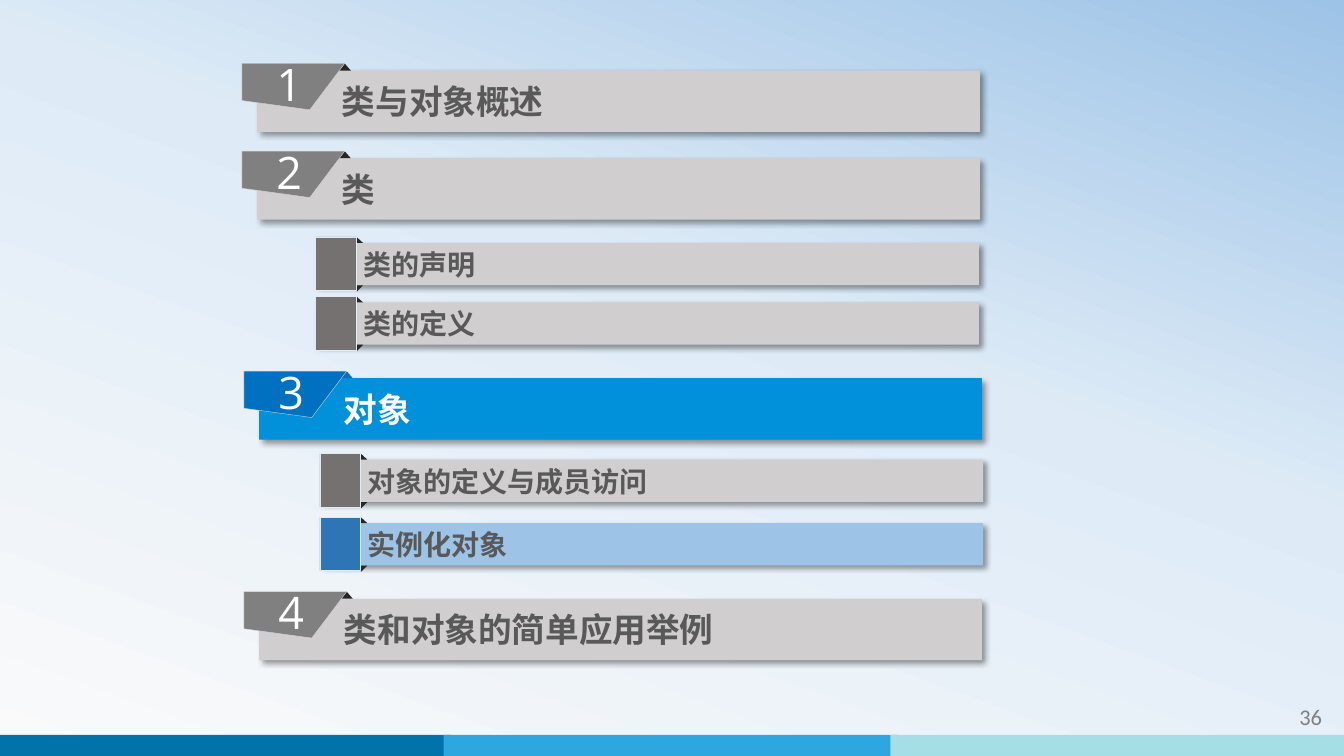
from dataclasses import dataclass

from lxml import etree
from pptx import Presentation
from pptx.dml.color import RGBColor
from pptx.enum.shapes import MSO_SHAPE
from pptx.enum.text import MSO_ANCHOR, PP_ALIGN
from pptx.oxml.ns import qn
from pptx.util import Inches, Pt

RECT, TRIANGLE = MSO_SHAPE.RECTANGLE, MSO_SHAPE.ISOSCELES_TRIANGLE
LEFT, CENTER, RIGHT = PP_ALIGN.LEFT, PP_ALIGN.CENTER, PP_ALIGN.RIGHT
MIDDLE = MSO_ANCHOR.MIDDLE
SLIDE_W, SLIDE_H = Inches(13.33), Inches(7.5)


@dataclass(frozen=True)
class Theme:
    backdrop: tuple = ((0, "FAFAFA"), (58, "DEEBF7"), (100, "9DC3E6"))
    strips: tuple = ("0073AB", "2EA7E0", "A5DEE4")
    bar: str = "D0CECE"
    active_bar: str = "0091DA"
    active_item: str = "9DC3E6"
    tag: str = "808080"
    active_tag: str = "0070C0"
    item_tag: str = "767171"
    active_item_tag: str = "2E75B6"
    fold: str = "262626"
    tag_edge: str = "D9D9D9"
    item_edge: str = "DEEBF7"
    text: str = "595959"
    white: str = "FFFFFF"
    heading_font: str = "Noto Sans CJK SC"
    number_font: str = "Open Sans"
    page_font: str = "Calibri"
    section_size: int = 24
    item_size: int = 20
    number_size: int = 32
    page_size: int = 16


THEME = Theme()

# Tops and lefts are percentages of the slide size.
SECTIONS = (
    ("1", "类与对象概述", 18, 8.4, False),
    ("2", "类", 18, 20, False),
    ("3", "对象", 18.15, 49.1, True),
    ("4", "类和对象的简单应用举例", 18.15, 78.27, False),
)
ITEMS = (
    ("类的声明", 23.48, 31.33, False),
    ("类的定义", 23.48, 39.2, False),
    ("对象的定义与成员访问", 23.8, 60, False),
    ("实例化对象", 23.8, 68.4, True),
)


def share(x, y, w, h):
    return [int(v * size / 100) for v, size in
            ((x, SLIDE_W), (y, SLIDE_H), (w, SLIDE_W), (h, SLIDE_H))]


def paint(sp, color, edge=None):
    sp.shadow.inherit = False
    sp.fill.solid()
    sp.fill.fore_color.rgb = RGBColor.from_string(color)
    if edge:
        sp.line.color.rgb = RGBColor.from_string(edge)
        sp.line.width = Pt(0.25)
    else:
        sp.line.fill.background()
    return sp


def add_box(shapes, kind, box, color, edge=None):
    return paint(shapes.add_shape(kind, *share(*box)), color, edge)


def add_shadow(sp):
    effects = sp._element.spPr.find(qn("a:effectLst"))
    shadow = etree.SubElement(effects, qn("a:outerShdw"), blurRad=str(Pt(4)),
                              dist=str(Pt(3)), dir="2700000", algn="tl", rotWithShape="0")
    color = etree.SubElement(shadow, qn("a:srgbClr"), val="000000")
    etree.SubElement(color, qn("a:alpha"), val="40000")


def write(sp, text, font, size, color, align=LEFT, bold=False, **margins):
    tf = sp.text_frame
    frame = {"word_wrap": True, "vertical_anchor": MIDDLE}
    frame.update({f"margin_{side}": Inches(v) for side, v in margins.items()})
    for name, value in frame.items():
        setattr(tf, name, value)
    p = tf.paragraphs[0]
    p.alignment = align
    r = p.add_run()
    r.text = text
    for name, value in {"name": font, "size": Pt(size), "bold": bold}.items():
        setattr(r.font, name, value)
    r.font.color.rgb = RGBColor.from_string(color)
    etree.SubElement(r._r.get_or_add_rPr(), qn("a:ea"), typeface=font)


def add_bar(shapes, box, color, text, size, text_color, indent):
    sp = add_box(shapes, RECT, box, color)
    add_shadow(sp)
    write(sp, text, THEME.heading_font, size, text_color, bold=True, left=indent)


def add_number_tag(shapes, x, y, number, color):
    left, top, w, h = share(x, y, 7.65, 6.13)
    points = [(left + int(w * dx), top + int(h * dy))
              for dx, dy in ((0, 0), (1, 0), (0.66, 1), (0, 0.8))]
    builder = shapes.build_freeform(*points[0])
    builder.add_line_segments(points[1:], close=True)
    sp = paint(builder.convert_to_shape(), color, THEME.tag_edge)
    write(sp, number, THEME.number_font, THEME.number_size, THEME.white, CENTER,
          left=0.09, top=0.04, right=0.17, bottom=0.1)


def add_section(s, number, text, x, y, active):
    shapes = s.shapes.add_group_shape().shapes
    bar, tag, fold, ink = (
        (THEME.active_bar, THEME.active_tag, THEME.active_tag, THEME.white) if active
        else (THEME.bar, THEME.tag, THEME.fold, THEME.text))
    add_bar(shapes, (x + 1.13, y + 0.93, 53.78, 8.13), bar, text,
            THEME.section_size, ink, 0.84)
    add_box(shapes, TRIANGLE, (x + 7.2, y, 0.9, 0.93), fold)
    add_number_tag(shapes, x, y, number, tag)


def add_item(s, text, x, y, active):
    shapes = s.shapes.add_group_shape().shapes
    bar, tag = ((THEME.active_item, THEME.active_item_tag) if active
                else (THEME.bar, THEME.item_tag))
    add_bar(shapes, (x + 0.08, y + 0.8, 49.28, 5.6), bar, text,
            THEME.item_size, THEME.text, 0.46)
    for top, height, turn in ((0.07, 0.73, 0), (6.4, 0.8, 180)):
        fold = add_box(shapes, TRIANGLE, (x + 2.63, y + top, 0.9, height), THEME.fold)
        fold.rotation = turn
    add_box(shapes, RECT, (x, y, 3, 7.07), tag, THEME.item_edge)


def add_backdrop(s):
    fill = s.background.fill
    fill.gradient()
    fill.gradient_angle = 70
    stops = s._element.find(".//" + qn("a:gsLst"))
    for stop in list(stops):
        stops.remove(stop)
    for position, color in THEME.backdrop:
        stop = etree.SubElement(stops, qn("a:gs"), pos=str(position * 1000))
        etree.SubElement(stop, qn("a:srgbClr"), val=color)


def add_footer(s):
    shapes = s.shapes.add_group_shape().shapes
    for i, color in enumerate(THEME.strips):
        add_box(shapes, RECT, (-0.22 + 33.23 * i, 97.2, 33.76, 2.8), color)
    page = s.shapes.add_textbox(*share(87.17, 92.13, 11.93, 5.33))
    write(page, "36", THEME.page_font, THEME.page_size, THEME.tag, RIGHT)


def main():
    prs = Presentation()
    prs.slide_width, prs.slide_height = SLIDE_W, SLIDE_H
    s = prs.slides.add_slide(prs.slide_layouts[6])
    add_backdrop(s)
    add_footer(s)
    for item in ITEMS:
        add_item(s, *item)
    for section in SECTIONS:
        add_section(s, *section)
    prs.save("out.pptx")


if __name__ == "__main__":
    main()
